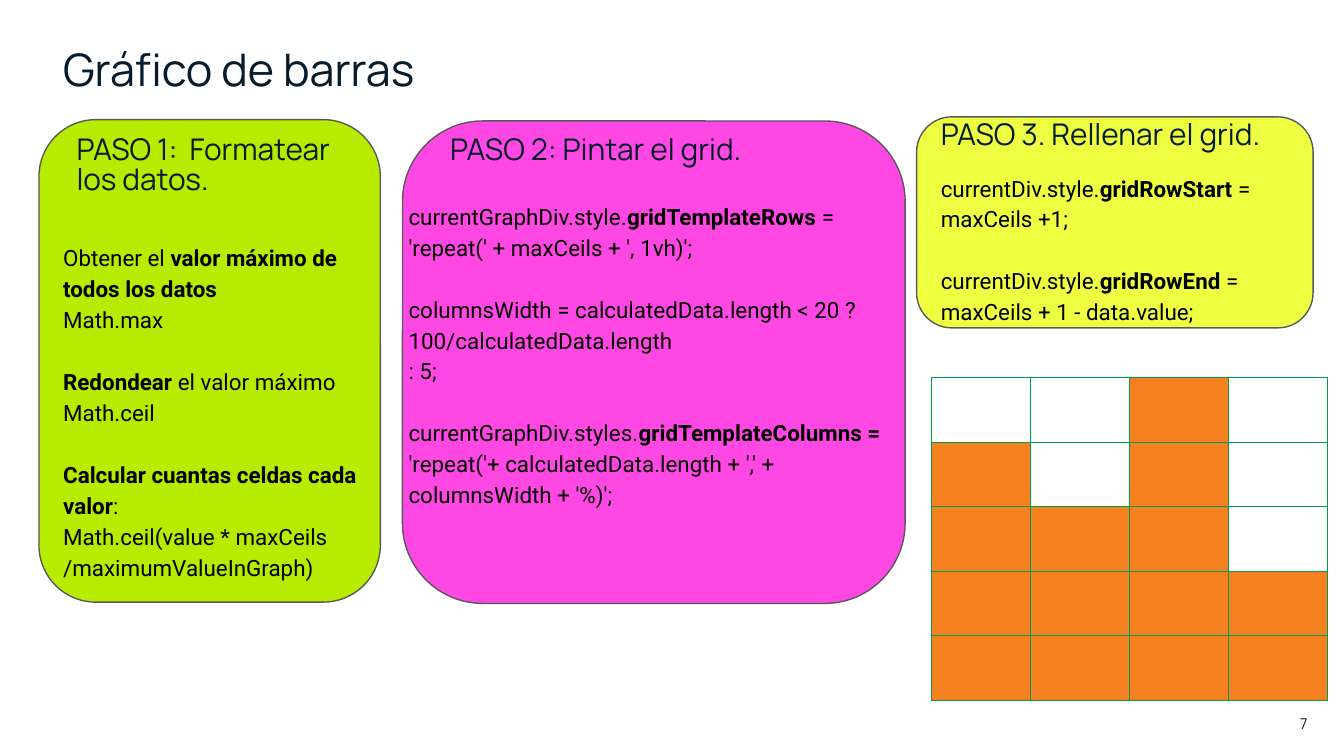
from lxml import etree
from pptx import Presentation
from pptx.dml.color import RGBColor
from pptx.enum.shapes import MSO_SHAPE
from pptx.enum.text import MSO_ANCHOR, MSO_AUTO_SIZE, PP_ALIGN
from pptx.oxml.ns import qn
from pptx.util import Inches, Pt

ROUNDED = MSO_SHAPE.ROUNDED_RECTANGLE
TOP, MIDDLE = MSO_ANCHOR.TOP, MSO_ANCHOR.MIDDLE
LEFT, RIGHT = PP_ALIGN.LEFT, PP_ALIGN.RIGHT
NO_AUTOFIT = MSO_AUTO_SIZE.NONE

NAVY = RGBColor(0x06, 0x1B, 0x2B)
BLACK = RGBColor(0x00, 0x00, 0x00)
WHITE = RGBColor(0xFF, 0xFF, 0xFF)
OUTLINE = RGBColor(0x59, 0x59, 0x59)
LIME = RGBColor(0xB7, 0xEB, 0x00)
PINK = RGBColor(0xFF, 0x47, 0xE3)
YELLOW = RGBColor(0xEE, 0xFF, 0x41)
ORANGE = RGBColor(0xF5, 0x80, 0x20)
GREEN = RGBColor(0x00, 0x9F, 0x4C)

SLIDE_WIDTH = Inches(10)
SLIDE_HEIGHT = SLIDE_WIDTH * 9 // 16
UNIT = SLIDE_WIDTH // 100  # square grid, 100 columns across the slide
STANZA_GAP = Pt(16.6)

BAR_VALUES = (4, 3, 5, 2)
GRID_ROWS = 5

# Each step: card colour, card place, heading, heading place, stanzas, their place.
# Places are left, top, width, height in grid units; ** switches bold.
STEPS = [
    (YELLOW, (68.2, 8.7, 29.5, 15.7),
     "PASO 3. Rellenar el grid.", (70, 9, 27.9, 7.5),
     [["currentDiv.style.**gridRowStart **= maxCeils +1;"],
      ["currentDiv.style.**gridRowEnd** = maxCeils + 1 - data.value;"]],
     (70, 12.7, 26.2, 23.4)),
    (PINK, (29.95, 9, 37.4, 35.9),
     "PASO 2: Pintar el grid.", (33.5, 10.1, 23.1, 7.5),
     [["currentGraphDiv.style.**gridTemplateRows** = "
       "'repeat(' + maxCeils + ', 1vh)';"],
      ["columnsWidth = calculatedData.length < 20 ? 100/calculatedData.length",
       ": 5;"],
      ["currentGraphDiv.styles.**gridTemplateColumns = **"
       "'repeat('+ calculatedData.length + ',' + columnsWidth + '%)';"]],
     (30.4, 14.8, 37.4, 24.1)),
    (LIME, (2.9, 8.9, 25.4, 35.9),
     "PASO 1:  Formatear los datos.", (5.7, 10.1, 20.7, 7.5),
     [["Obtener el **valor máximo de todos los datos**", "Math.max"],
      ["**Redondear** el valor máximo", "Math.ceil"],
      ["**Calcular cuantas celdas cada valor**:",
       "Math.ceil(value * maxCeils /maximumValueInGraph)"]],
     (4.7, 17.9, 24.3, 24.1)),
]


def on_grid(place):
    return [round(length * UNIT) for length in place]


def prepare_frame(frame, anchor=TOP):
    frame.margin_left = frame.margin_right = 0
    frame.margin_top = frame.margin_bottom = 0
    frame.word_wrap = True
    frame.auto_size = NO_AUTOFIT
    frame.vertical_anchor = anchor


def format_paragraph(paragraph, font_name, size, color, spacing=1.0, align=LEFT):
    paragraph.alignment = align
    paragraph.line_spacing = spacing
    paragraph.font.name = font_name
    paragraph.font.size = Pt(size)
    paragraph.font.color.rgb = color


def add_line(slide, text, place, size, anchor=TOP, align=LEFT, spacing=0.85):
    frame = slide.shapes.add_textbox(*on_grid(place)).text_frame
    prepare_frame(frame, anchor)
    frame.text = text
    format_paragraph(frame.paragraphs[0], "Manrope", size, NAVY, spacing, align)


def set_title(slide, text, place):
    title = slide.shapes.title
    title.left, title.top, title.width, title.height = on_grid(place)
    prepare_frame(title.text_frame)
    title.text_frame.text = text
    format_paragraph(title.text_frame.paragraphs[0], "Manrope", 24, NAVY, 0.85)


def add_card(slide, color, place):
    card = slide.shapes.add_shape(ROUNDED, *on_grid(place))
    card.shadow.inherit = False
    card.fill.solid()
    card.fill.fore_color.rgb = color
    card.line.color.rgb = OUTLINE
    card.line.width = Pt(0.75)


def add_stanzas(slide, stanzas, place):
    """Write groups of paragraphs, one empty line's height apart."""
    frame = slide.shapes.add_textbox(*on_grid(place)).text_frame
    prepare_frame(frame)
    for stanza_index, stanza in enumerate(stanzas):
        for line_index, line in enumerate(stanza):
            is_first = stanza_index == line_index == 0
            paragraph = frame.paragraphs[0] if is_first else frame.add_paragraph()
            format_paragraph(paragraph, "Roboto", 12, BLACK, 1.15)
            if stanza_index and not line_index:
                paragraph.space_before = STANZA_GAP
            for part_index, part in enumerate(line.split("**")):
                if part:
                    run = paragraph.add_run()
                    run.text = part
                    run.font.bold = part_index % 2 == 1


def add_cell_borders(cell, color):
    properties = cell._tc.get_or_add_tcPr()
    for side in ("lnL", "lnR", "lnT", "lnB"):
        border = etree.SubElement(properties, qn(f"a:{side}"), w=str(Pt(0.75)))
        fill = etree.SubElement(border, qn("a:solidFill"))
        etree.SubElement(fill, qn("a:srgbClr"), val=str(color))


def add_bar_grid(slide, values, row_count, place):
    """Draw bars as filled table cells, counted up from the bottom row."""
    table = slide.shapes.add_table(row_count, len(values), *on_grid(place)).table
    table.first_row = table.horz_banding = False
    for row in range(row_count):
        for column, value in enumerate(values):
            cell = table.cell(row, column)
            add_cell_borders(cell, GREEN)
            cell.fill.solid()
            cell.fill.fore_color.rgb = ORANGE if row_count - row <= value else WHITE


def main():
    presentation = Presentation()
    presentation.slide_width = SLIDE_WIDTH
    presentation.slide_height = SLIDE_HEIGHT
    slide = presentation.slides.add_slide(presentation.slide_layouts[5])

    set_title(slide, "Gráfico de barras", (4.7, 3.7, 88.7, 4.3))
    for color, card_place, heading, heading_place, stanzas, text_place in STEPS:
        add_card(slide, color, card_place)
        add_line(slide, heading, heading_place, 16)
        add_stanzas(slide, stanzas, text_place)
    add_bar_grid(slide, BAR_VALUES, GRID_ROWS, (69.3, 28.1, 29.5, 24))
    add_line(slide, "7", (94.6, 53.2, 2.7, 1.3), 8, MIDDLE, RIGHT, 1.0)

    presentation.save("out.pptx")


if __name__ == "__main__":
    main()
